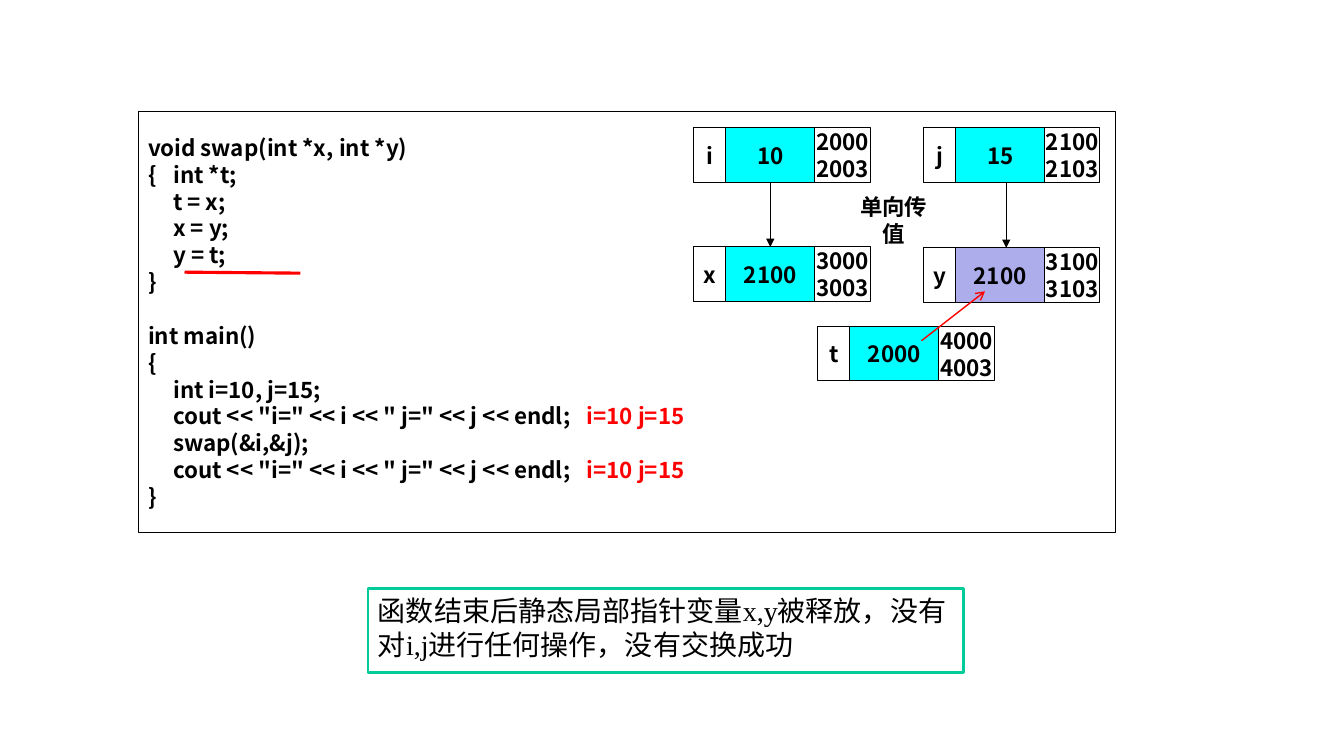
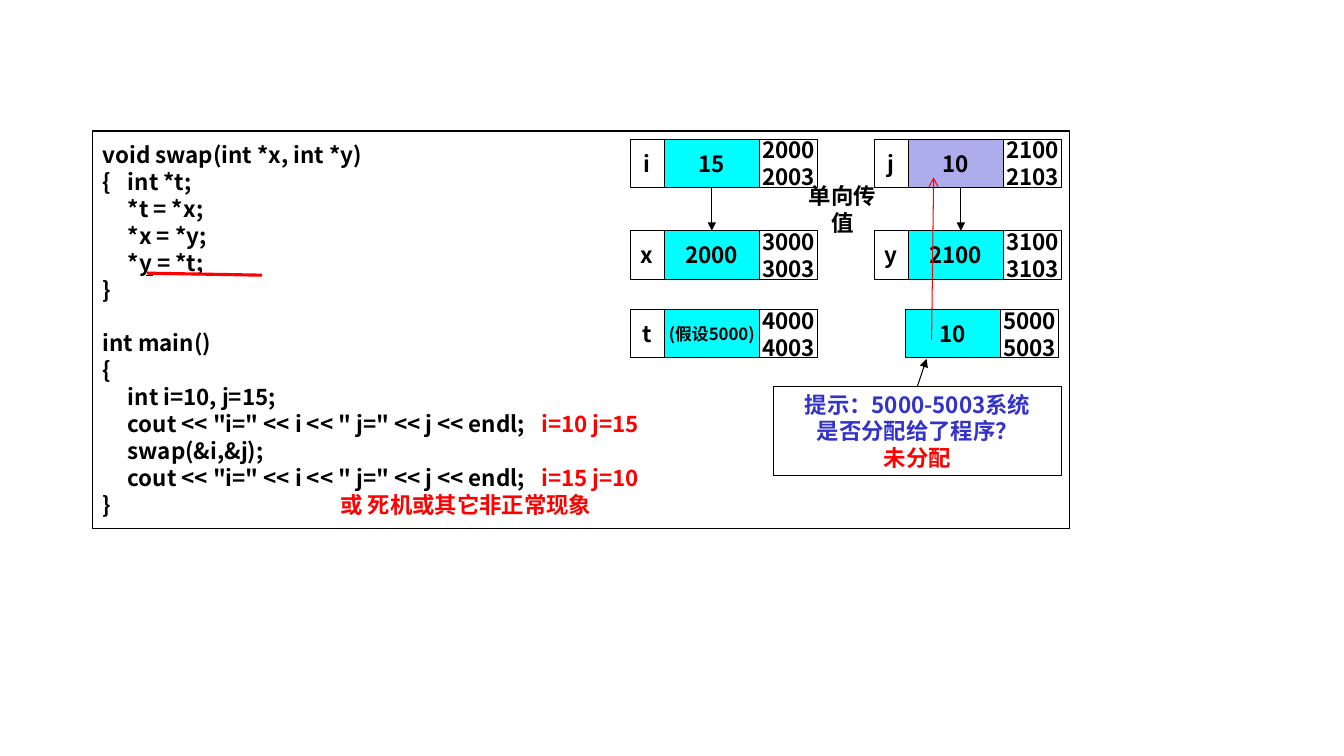
"""Build two slides on swapping values through pointers."""
from lxml import etree
from pptx import Presentation
from pptx.dml.color import RGBColor
from pptx.enum.shapes import MSO_CONNECTOR, MSO_SHAPE
from pptx.enum.text import MSO_ANCHOR, PP_ALIGN
from pptx.oxml.ns import qn
from pptx.util import Inches, Pt

RECT, LINE = MSO_SHAPE.RECTANGLE, MSO_CONNECTOR.STRAIGHT
LEFT, MID = PP_ALIGN.LEFT, PP_ALIGN.CENTER
TOP, CENTER = MSO_ANCHOR.TOP, MSO_ANCHOR.MIDDLE
BLACK = RGBColor(0, 0, 0)
RED = RGBColor(0xFF, 0, 0)
CYAN = RGBColor(0, 0xFF, 0xFF)
LILAC = RGBColor(0xAD, 0xAD, 0xEB)
BLUE = RGBColor(0x33, 0x33, 0xCC)
GREEN = RGBColor(0, 0xCC, 0x99)
SANS, SERIF = "Noto Sans CJK SC", "Times New Roman"
STEP = 0.25
PRINT = '\tcout << "i=" << i << " j=" << j << endl;'

SLIDES = [
    {
        "frame": (1.37, 1.11, 9.69, 4.17),
        "body": ["t = x;", "x = y;", "y = t;"],
        "after": "i=10 j=15",
        "end": "",
        "cell": (0.32, 0.88, 0.55, 0.54),
        "vars": [
            ("i", "10", 2000, 6.88, 1.27, CYAN),
            ("j", "15", 2100, 9.16, 1.27, CYAN),
            ("x", "2100", 3000, 6.88, 2.45, CYAN),
            ("y", "2100", 3100, 9.16, 2.46, LILAC),
            ("t", "2000", 4000, 8.11, 3.24, CYAN),
        ],
        "label": (8.4, 1.95, 0.93, 0.47),
        "pass": ((9.98, 1.81), (9.98, 2.46)),
        "marks": [
            ((1.83, 2.7), (2.98, 2.71), RED, 2.25, None),
            ((9.14, 3.38), (9.77, 2.89), RED, 1, "arrow"),
        ],
    },
    {
        "frame": (0.92, 1.3, 9.69, 3.94),
        "body": ["*t = *x;", "*x = *y;", "*y = *t;"],
        "after": "i=15 j=10",
        "end": "或 死机或其它非正常现象",
        "cell": (0.34, 0.94, 0.58, 0.48),
        "vars": [
            ("i", "15", 2000, 6.25, 1.38, CYAN),
            ("j", "10", 2100, 8.67, 1.38, LILAC),
            ("x", "2000", 3000, 6.25, 2.29, CYAN),
            ("y", "2100", 3100, 8.67, 2.29, CYAN),
            ("t", "(假设5000)", 4000, 6.25, 3.07, CYAN),
            ("", "10", 5000, 8.64, 3.07, CYAN),
        ],
        "label": (7.86, 1.86, 0.99, 0.42),
        "pass": ((9.53, 1.86), (9.53, 2.29)),
        "marks": [
            ((1.45, 2.73), (1.52, 2.73), BLACK, 0.75, None),
            ((1.46, 2.71), (2.6, 2.73), RED, 2.25, None),
            ((9.24, 3.37), (9.26, 1.76), RED, 0.75, "arrow"),
        ],
    },
]
NOTE = "函数结束后静态局部指针变量x,y被释放，没有对i,j进行任何操作，没有交换成功"
HINT = [("提示：5000-5003系统", BLUE), ("是否分配给了程序？", BLUE), ("未分配", RED)]


def add_run(para, text, color=BLACK, size=16, font=SANS, bold=True):
    run = para.add_run()
    run.text = text
    run.font.size, run.font.bold, run.font.name = Pt(size), bold, font
    run.font.color.rgb = color
    face = etree.SubElement(run.font._element, qn("a:ea"))
    face.set("typeface", SANS)
    para.line_spacing = Pt(1.2 * size)


def add_box(slide, place, line=BLACK, width=0.75, fill=None):
    box = slide.shapes.add_shape(RECT, *map(Inches, place))
    box.shadow.inherit = False
    if fill is None:
        box.fill.background()
    else:
        box.fill.solid()
        box.fill.fore_color.rgb = fill
    box.line.color.rgb = line
    box.line.width = Pt(width)
    return box


def get_paras(shape, count, align=MID, anchor=CENTER, wrap=False):
    frame = shape.text_frame
    frame.word_wrap, frame.vertical_anchor = wrap, anchor
    paras = [frame.paragraphs[0]]
    paras += [frame.add_paragraph() for _ in range(count - 1)]
    for para in paras:
        para.alignment = align
    return paras


def write(shape, rows, **style):
    for para, (text, color) in zip(get_paras(shape, len(rows)), rows):
        add_run(para, text, color, **style)


def add_line(slide, start, end, color=BLACK, width=0.75, head="triangle"):
    line = slide.shapes.add_connector(LINE, *map(Inches, start + end))
    line.line.color.rgb = color
    line.line.width = Pt(width)
    if head:
        tail = etree.SubElement(line.line._get_or_add_ln(), qn("a:tailEnd"))
        tail.set("type", head)
    etree.SubElement(line._element.spPr, qn("a:effectLst"))
    return line


def set_tabs(para, stops):
    tabs = etree.SubElement(para._p.get_or_add_pPr(), qn("a:tabLst"))
    for stop in stops:
        tab = etree.SubElement(tabs, qn("a:tab"))
        tab.set("pos", str(Inches(stop)))
        tab.set("algn", "l")


def add_code(slide, data):
    rows = [("void swap(int *x, int *y)", "", 0), ("{\tint *t;", "", 0)]
    rows += [("\t" + text, "", 0) for text in data["body"]]
    rows += [
        ("}", "", 0),
        ("int main()", "", 0),
        ("{", "", 0),
        ("\tint i=10, j=15;", "", 0),
        (PRINT, "i=10 j=15", 4.35),
        ("\tswap(&i,&j);", "", 0),
        (PRINT, data["after"], 4.35),
        ("}", data["end"], 2.36),
    ]
    box = add_box(slide, data["frame"])
    paras = get_paras(box, len(rows), LEFT, wrap=True)
    for para, (text, out, stop) in zip(paras, rows):
        add_run(para, text)
        if text == "int main()":
            para.space_before = Pt(19.2)
        if out:
            add_run(para, "\t" + out, RED)
        stops = [STEP] * ("\t" in text) + [stop] * bool(out)
        if stops:
            set_tabs(para, stops)


def add_var(slide, sizes, name, value, start, left, top, fill):
    *widths, high = sizes
    texts = [[name], [value], [str(start), str(start + 3)]]
    for wide, lines, tint in zip(widths, texts, (None, fill, None)):
        if lines[0]:
            box = add_box(slide, (left, top, wide, high), fill=tint)
            size = 12 if len(lines[0]) > 4 else 16
            write(box, [(text, BLACK) for text in lines], size=size)
            if lines == [value]:
                cell = box
        left += wide
    return cell


def add_scene(deck, data):
    slide = deck.slides.add_slide(deck.slide_layouts[6])
    add_code(slide, data)
    cells = {row[0]: add_var(slide, data["cell"], *row) for row in data["vars"]}
    link = add_line(slide, (0, 0), (1, 1))
    link.begin_connect(cells["i"], 2)
    link.end_connect(cells["x"], 0)
    add_line(slide, *data["pass"])
    label = slide.shapes.add_textbox(*map(Inches, data["label"]))
    write(label, [("单向传值", BLACK)])
    return slide


def main():
    deck = Presentation()
    deck.slide_width, deck.slide_height = Inches(13.33), Inches(7.5)
    first, second = [add_scene(deck, data) for data in SLIDES]
    note = add_box(first, (3.65, 5.84, 5.91, 0.83), GREEN, 2)
    para = get_paras(note, 1, LEFT, TOP, True)[0]
    add_run(para, NOTE, size=20, font=SERIF, bold=False)
    hint = add_box(second, (7.67, 3.83, 2.86, 0.89))
    write(hint, HINT)
    add_line(second, (9.1, 3.83), (9.19, 3.56)).begin_connect(hint, 0)
    for slide, data in zip((first, second), SLIDES):
        for mark in data["marks"]:
            add_line(slide, *mark)
    deck.save("out.pptx")


if __name__ == "__main__":
    main()
